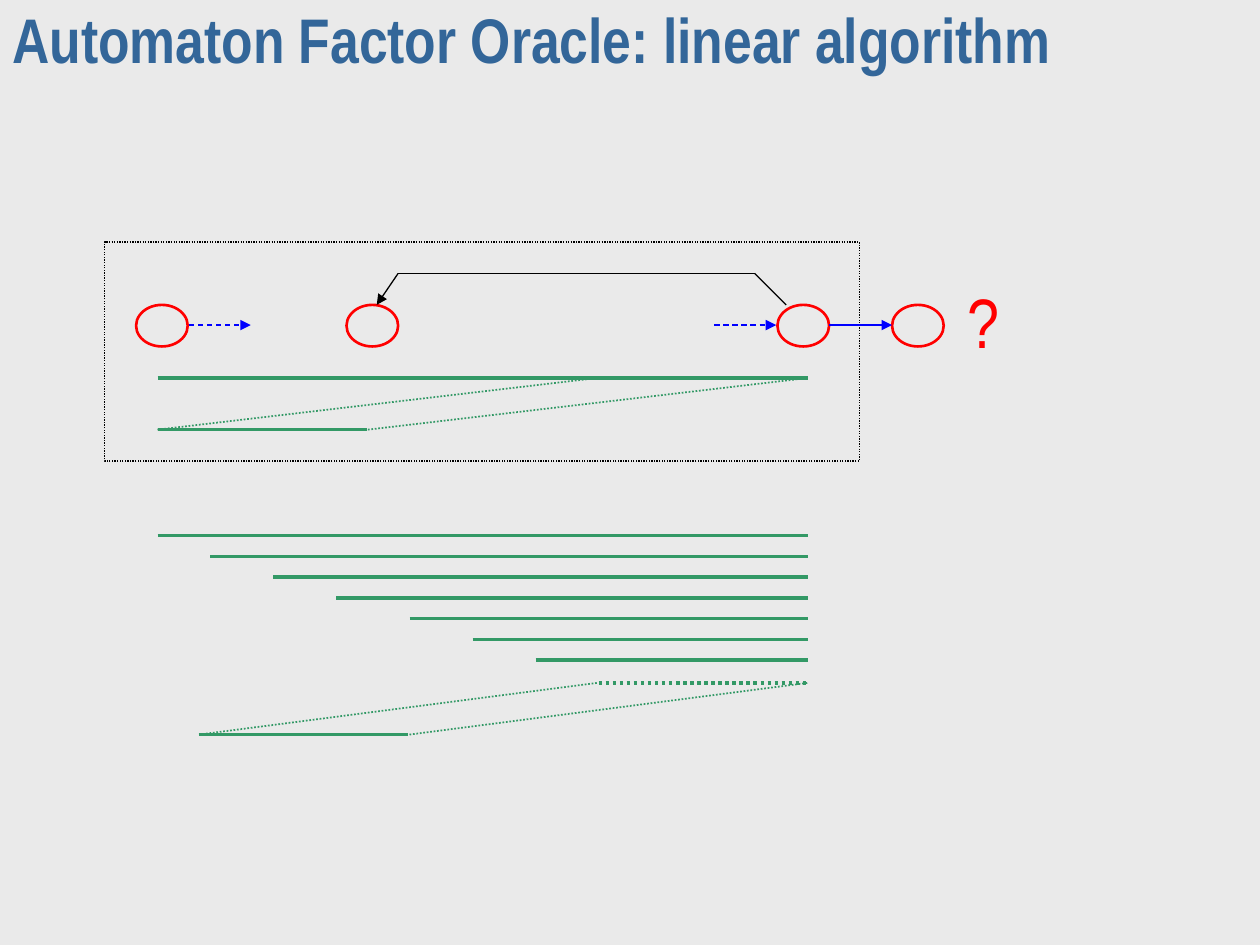
from dataclasses import dataclass
from typing import Optional

import pptx
import pptx.dml.color
import pptx.enum.dml
import pptx.enum.shapes
import pptx.enum.text
import pptx.oxml.ns
import pptx.util
from lxml import etree
from pptx.util import Inches

COLORS = {
    "background": "EAEAEA",
    "title": "336699",
    "state": "FF0000",
    "transition": "0000FF",
    "factor": "339966",
    "black": "000000",
}
FONT = "Arial Narrow"
DASH = pptx.enum.dml.MSO_LINE.DASH
DOTS = pptx.enum.dml.MSO_LINE.ROUND_DOT  # written as sysDot
SHAPES = pptx.enum.shapes.MSO_SHAPE

STATE_TOP, STATE_WIDTH, STATE_HEIGHT = 2.42, 0.41, 0.33
AXIS_Y = 2.58  # height of the transitions
RIGHT = 6.41  # common right end of the factors


@dataclass
class Segment:
    x1: float
    y1: float
    x2: float
    y2: float
    color: str
    width: float
    dash: Optional[pptx.enum.dml.MSO_LINE] = None
    arrow: bool = False


def rgb(name: str) -> pptx.dml.color.RGBColor:
    return pptx.dml.color.RGBColor.from_string(COLORS[name])


def style_line(line, color: str, width: float, dash=None) -> None:
    line.color.rgb = rgb(color)
    line.width = pptx.util.Pt(width)
    if dash is not None:
        line.dash_style = dash


def draw_segment(slide, segment: Segment) -> None:
    connector = slide.shapes.add_connector(
        pptx.enum.shapes.MSO_CONNECTOR.STRAIGHT,
        Inches(segment.x1), Inches(segment.y1),
        Inches(segment.x2), Inches(segment.y2),
    )
    style_line(connector.line, segment.color, segment.width, segment.dash)
    properties = connector.element.spPr
    if segment.arrow:
        outline = properties.find(pptx.oxml.ns.qn("a:ln"))
        etree.SubElement(outline, pptx.oxml.ns.qn("a:tailEnd"), type="triangle")
    etree.SubElement(properties, pptx.oxml.ns.qn("a:effectLst"))


def draw_outline(slide, kind, left: float, top: float, width: float,
                 height: float, color: str, weight: float, dash=None) -> None:
    shape = slide.shapes.add_shape(
        kind, Inches(left), Inches(top), Inches(width), Inches(height))
    shape.shadow.inherit = False
    shape.fill.background()
    style_line(shape.line, color, weight, dash)


def draw_text(slide, text: str, left: float, top: float, width: float,
              height: float, size: float, color: str, bold: bool = False,
              wrap: bool = True):
    box = slide.shapes.add_textbox(
        Inches(left), Inches(top), Inches(width), Inches(height))
    frame = box.text_frame
    frame.word_wrap = wrap
    frame.vertical_anchor = pptx.enum.text.MSO_ANCHOR.MIDDLE
    paragraph = frame.paragraphs[0]
    paragraph.text = text
    paragraph.font.name = FONT
    paragraph.font.size = pptx.util.Pt(size)
    paragraph.font.bold = bold
    paragraph.font.color.rgb = rgb(color)
    return paragraph


def factor(left: float, y: float, right: float = RIGHT, dash=None) -> Segment:
    return Segment(left, y, right, y, "factor", 2, dash)


def projection(x1: float, y1: float, x2: float, y2: float) -> Segment:
    return Segment(x1, y1, x2, y2, "factor", 1, DOTS)


def transition(left: float, right: float, dash=None) -> Segment:
    return Segment(left, AXIS_Y, right, AXIS_Y, "transition", 0.75, dash, True)


def main() -> None:
    presentation = pptx.Presentation()
    presentation.slide_width = Inches(10)
    presentation.slide_height = Inches(7.5)
    slide = presentation.slides.add_slide(presentation.slide_layouts[6])
    slide.background.fill.solid()
    slide.background.fill.fore_color.rgb = rgb("background")

    # Title
    title = draw_text(slide, "Automaton Factor Oracle: linear algorithm",
                      0, 0, 10, 0.75, 36, "title", bold=True)
    title.line_spacing = 0.7

    # Frame around the automaton built so far, and the states
    draw_outline(slide, SHAPES.RECTANGLE, 0.83, 1.92, 5.99, 1.74,
                 "black", 0.75, DOTS)
    for left in (1.08, 2.75, 6.17, 7.08):
        draw_outline(slide, SHAPES.OVAL, left, STATE_TOP, STATE_WIDTH,
                     STATE_HEIGHT, "state", 1.5)

    segments = [
        # Transitions between states
        transition(1.5, 1.99, DASH),
        transition(5.67, 6.16, DASH),
        transition(6.58, 7.08),
        # Supply link back to an earlier state
        Segment(6.24, 2.42, 5.99, 2.17, "black", 0.75),
        Segment(5.99, 2.17, 3.16, 2.17, "black", 0.75),
        Segment(3.16, 2.17, 2.99, 2.42, "black", 0.75, arrow=True),
        # Word read and its repeated suffix
        factor(1.25, 3),
        factor(1.25, 3.41, 2.91),
        projection(1.25, 3.41, 4.74, 3),
        projection(2.92, 3.41, RIGHT, 3),
    ]
    # Ever shorter suffixes
    suffix_lefts = (1.25, 1.67, 2.17, 2.67, 3.25, 3.75, 4.25)
    segments += [factor(left, 4.25 + 0.165 * row)
                 for row, left in enumerate(suffix_lefts)]
    # Suffix found earlier in the word
    segments += [
        factor(4.75, 5.42, dash=DOTS),
        factor(1.58, 5.83, 3.24),
        projection(1.58, 5.83, 4.74, 5.42),
        projection(3.25, 5.83, RIGHT, 5.42),
    ]
    for segment in segments:
        draw_segment(slide, segment)

    # Open question at the new state
    question = draw_text(slide, "?", 7.58, 2.16, 0.45, 0.77, 40, "state",
                         wrap=False)
    question.alignment = pptx.enum.text.PP_ALIGN.CENTER

    presentation.save("out.pptx")


if __name__ == "__main__":
    main()
